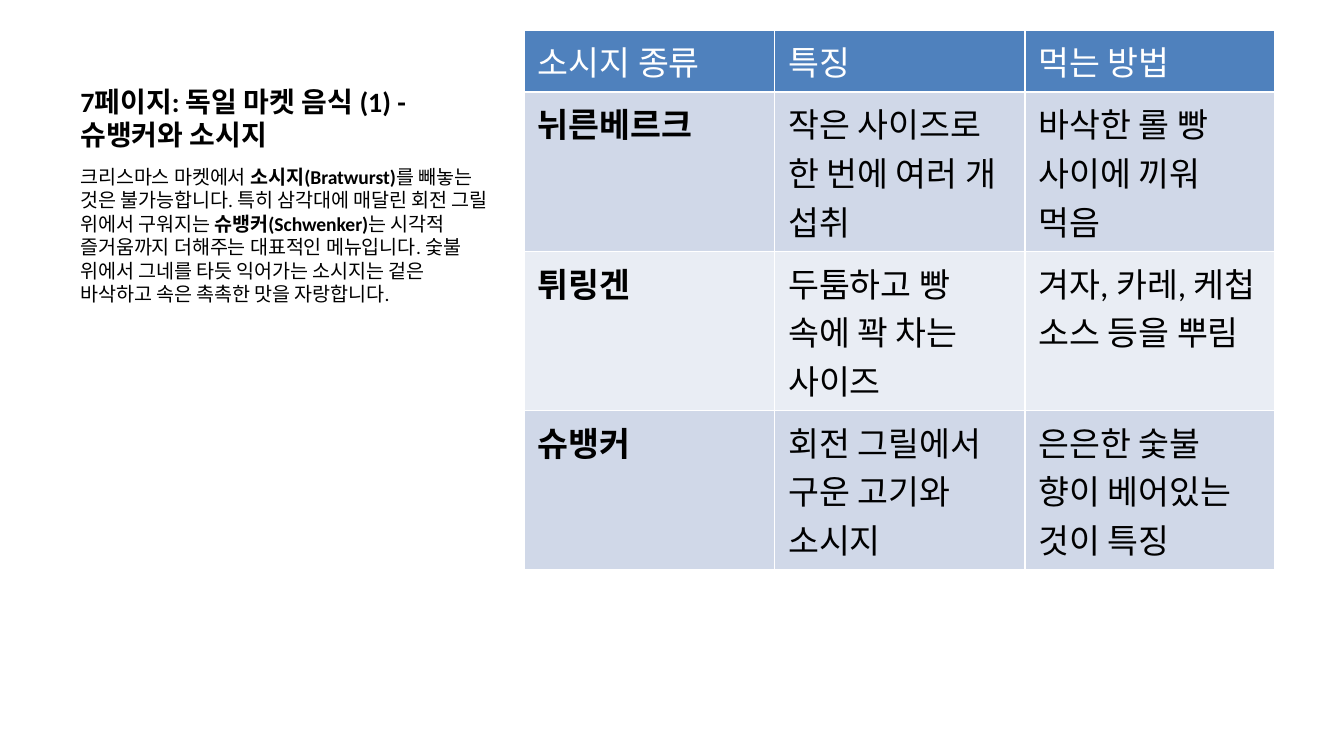
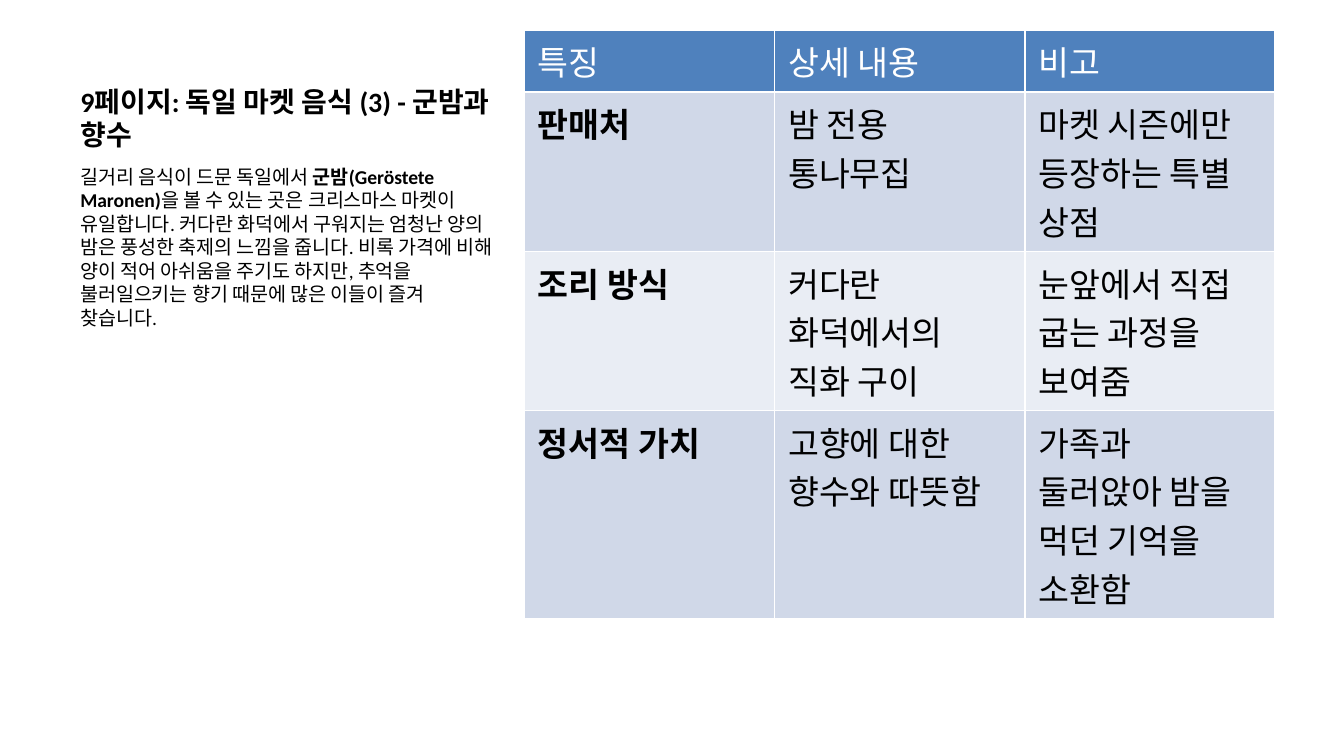
from dataclasses import dataclass

from pptx import Presentation
from pptx.dml.color import RGBColor
from pptx.enum.text import MSO_ANCHOR
from pptx.util import Cm, Pt

TOP, BOTTOM = MSO_ANCHOR.TOP, MSO_ANCHOR.BOTTOM


@dataclass(frozen=True)
class Theme:
    font: str = "Calibri"
    ink: RGBColor = RGBColor(0x00, 0x00, 0x00)
    white: RGBColor = RGBColor(0xFF, 0xFF, 0xFF)
    header: RGBColor = RGBColor(0x4F, 0x81, 0xBD)
    bands: tuple = (RGBColor(0xD0, 0xD8, 0xE8), RGBColor(0xE9, 0xED, 0xF4))
    title_size: Pt = Pt(15)
    body_size: Pt = Pt(10.5)
    table_size: Pt = Pt(18)


class Deck:
    left, top, text_width = Cm(1.27), Cm(0.57), Cm(8.36)
    title_height, body_height = Cm(2.42), Cm(9.78)
    table_left, col_width = Cm(9.91), Cm(4.73)
    line_height, cell_padding = Cm(0.92), Cm(0.25)

    def __init__(self, theme):
        self.theme = theme
        self.prs = Presentation()
        self.prs.slide_width, self.prs.slide_height = Cm(25.4), Cm(14.29)
        self.s = None

    def add_slide(self):
        self.s = self.prs.slides.add_slide(self.prs.slide_layouts[6])

    def style(self, p, size, color, bold=None):
        p.font.name = self.theme.font
        p.font.size = size
        p.font.color.rgb = color
        p.font.bold = bold

    def text(self, top, height, anchor):
        tf = self.s.shapes.add_textbox(self.left, top, self.text_width, height).text_frame
        tf.word_wrap = True
        tf.vertical_anchor = anchor
        return tf.paragraphs[0]

    def title(self, text):
        p = self.text(self.top, self.title_height, BOTTOM)
        p.text = text
        self.style(p, self.theme.title_size, self.theme.ink, True)

    def body(self, *parts):
        p = self.text(self.top + self.title_height, self.body_height, TOP)
        p.space_before = Pt(2.1)
        self.style(p, self.theme.body_size, self.theme.ink)
        for i, part in enumerate(parts):
            r = p.add_run()
            r.text = part
            r.font.bold = i % 2 == 1

    def table(self, rows, line_counts):
        t = self.theme
        cols = len(rows[0])
        heights = [self.line_height * n + self.cell_padding for n in line_counts]
        table = self.s.shapes.add_table(len(rows), cols, self.table_left, self.top,
                                        self.col_width * cols, sum(heights)).table
        for i, (row, height, values) in enumerate(zip(table.rows, heights, rows)):
            row.height = height
            for j, (cell, value) in enumerate(zip(row.cells, values)):
                cell.text = value
                cell.fill.solid()
                cell.fill.fore_color.rgb = t.bands[(i - 1) % 2] if i else t.header
                self.style(cell.text_frame.paragraphs[0], t.table_size,
                           t.ink if i else t.white, i > 0 and j == 0)


def main():
    deck = Deck(Theme())

    deck.add_slide()
    deck.title("7페이지: 독일 마켓 음식 (1) - 슈뱅커와 소시지")
    deck.body(
        "크리스마스 마켓에서 ",
        "소시지(Bratwurst)",
        "를 빼놓는 것은 불가능합니다. 특히 삼각대에 매달린 회전 그릴 위에서 구워지는 ",
        "슈뱅커(Schwenker)",
        "는 시각적 즐거움까지 더해주는 대표적인 메뉴입니다. "
        "숯불 위에서 그네를 타듯 익어가는 소시지는 겉은 바삭하고 속은 촉촉한 맛을 자랑합니다.",
    )
    deck.table([
        ("소시지 종류", "특징", "먹는 방법"),
        ("뉘른베르크", "작은 사이즈로 한 번에 여러 개 섭취", "바삭한 롤 빵 사이에 끼워 먹음"),
        ("튀링겐", "두툼하고 빵 속에 꽉 차는 사이즈", "겨자, 카레, 케첩 소스 등을 뿌림"),
        ("슈뱅커", "회전 그릴에서 구운 고기와 소시지", "은은한 숯불 향이 베어있는 것이 특징"),
    ], line_counts=(1, 3, 3, 3))

    deck.add_slide()
    deck.title("9페이지: 독일 마켓 음식 (3) - 군밤과 향수")
    deck.body(
        "길거리 음식이 드문 독일에서 ",
        "군밤(Geröstete Maronen)",
        "을 볼 수 있는 곳은 크리스마스 마켓이 유일합니다. "
        "커다란 화덕에서 구워지는 엄청난 양의 밤은 풍성한 축제의 느낌을 줍니다. "
        "비록 가격에 비해 양이 적어 아쉬움을 주기도 하지만, "
        "추억을 불러일으키는 향기 때문에 많은 이들이 즐겨 찾습니다.",
    )
    deck.table([
        ("특징", "상세 내용", "비고"),
        ("판매처", "밤 전용 통나무집", "마켓 시즌에만 등장하는 특별 상점"),
        ("조리 방식", "커다란 화덕에서의 직화 구이", "눈앞에서 직접 굽는 과정을 보여줌"),
        ("정서적 가치", "고향에 대한 향수와 따뜻함", "가족과 둘러앉아 밤을 먹던 기억을 소환함"),
    ], line_counts=(1, 3, 3, 4))

    deck.prs.save("out.pptx")


if __name__ == "__main__":
    main()
